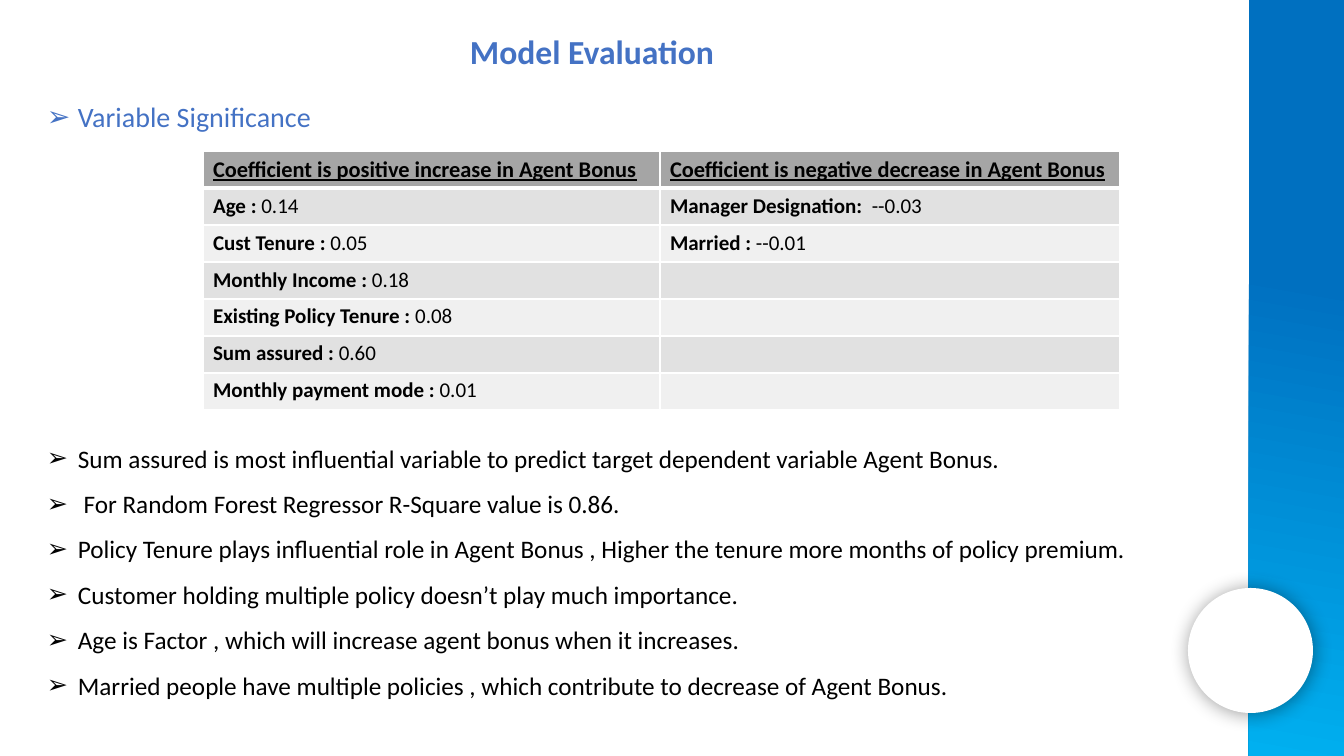
from lxml import etree
from pptx import Presentation
from pptx.dml.color import RGBColor
from pptx.enum.shapes import MSO_SHAPE
from pptx.enum.text import PP_ALIGN
from pptx.oxml.ns import qn
from pptx.util import Emu, Pt

RECT, OVAL = MSO_SHAPE.RECTANGLE, MSO_SHAPE.OVAL
LEFT, CENTER = PP_ALIGN.LEFT, PP_ALIGN.CENTER

TITLE = "Model Evaluation"
TOPIC = ["Variable Significance"]
HEADS = ["Coefficient is positive increase in Agent Bonus",
         "Coefficient is negative decrease in Agent Bonus"]
ROWS = [  # (label, value) for each column
    [("Age : ", "0.14"), ("Manager Designation:  ", "--0.03")],
    [("Cust Tenure : ", "0.05"), ("Married : ", "--0.01")],
    [("Monthly Income : ", "0.18"), None],
    [("Existing Policy Tenure : ", "0.08"), None],
    [("Sum assured : ", "0.60"), None],
    [("Monthly payment mode : ", "0.01"), None],
]
POINTS = [
    "Sum assured is most influential variable to predict target dependent variable Agent Bonus.",
    " For Random Forest Regressor R-Square value is 0.86.",
    "Policy Tenure plays influential role in Agent Bonus , Higher the tenure more months of policy premium.",
    "Customer holding multiple policy doesn’t play much importance.",
    "Age is Factor , which will increase agent bonus when it increases.",
    "Married people have multiple policies , which contribute to decrease of Agent Bonus.",
]


class Theme:
    font = "Calibri"
    white, black, blue = "FFFFFF", "000000", "4472C4"
    deep, sky = "0070C0", "00B0F0"
    head, bands = "A5A5A5", ("E1E1E1", "F0F0F0")
    title, topic, body, label, cell = 24, 20, 18, 16, 15


WIDE, HIGH = 1344, 756
BAND = 1249
INDENT = 31
TABLE = (203, 151)
COLS, ROW = (457, 460), 37


def px(n):
    return Emu(round(n * 914400 / 100.8))


def rgb(code):
    return RGBColor.from_string(code)


def add_run(para, text, size, color=Theme.black, bold=False, under=False):
    run = para.add_run()
    run.text = text
    font = run.font
    font.name, font.size, font.bold = Theme.font, Pt(size), bold
    font.underline = under
    font.color.rgb = rgb(color)


def add_shape(slide, kind, box):
    shape = slide.shapes.add_shape(kind, *map(px, box))
    shape.shadow.inherit = False
    shape.line.fill.background()
    return shape


def add_band(slide):
    fill = add_shape(slide, RECT, (BAND, 0, WIDE - BAND, HIGH)).fill
    fill.gradient()
    fill.gradient_angle = 260
    stops = ((0.37, Theme.deep), (1, Theme.sky))
    for stop, (place, color) in zip(fill.gradient_stops, stops):
        stop.position = place
        stop.color.rgb = rgb(color)


def add_disc(slide):
    disc = add_shape(slide, OVAL, (1188, 588, 125, 125))
    disc.fill.solid()
    disc.fill.fore_color.rgb = rgb(Theme.white)
    effect = disc._element.spPr.find(qn("a:effectLst"))
    shade = etree.SubElement(effect, qn("a:outerShdw"), blurRad=str(Pt(14)),
                             dist=str(Pt(1)), dir=str(43 * 60000), rotWithShape="0")
    tint = etree.SubElement(shade, qn("a:srgbClr"), val=Theme.black)
    etree.SubElement(tint, qn("a:alpha"), val="40000")


def set_bullet(para):
    props = para._p.get_or_add_pPr()
    props.set("marL", str(px(INDENT)))
    props.set("indent", str(-px(INDENT)))
    etree.SubElement(props, qn("a:buFont"), typeface="Arial")
    etree.SubElement(props, qn("a:buChar"), char="➢")


def add_text(slide, box, lines, size, color, align=LEFT, bold=False, bullet=True, space=1):
    frame = slide.shapes.add_textbox(*map(px, box)).text_frame
    frame.word_wrap = True
    for i, line in enumerate(lines):
        para = frame.add_paragraph() if i else frame.paragraphs[0]
        para.alignment = align
        para.line_spacing = space
        if bullet:
            set_bullet(para)
        add_run(para, line, size, color, bold)


def paint(cell, color, base):
    """Draw white borders, the bottom one `base` points wide, then fill the cell."""
    props = cell._tc.get_or_add_tcPr()
    for side, width in (("L", 1), ("R", 1), ("T", 1), ("B", base)):
        line = etree.SubElement(props, qn("a:ln" + side), w=str(Pt(width)))
        fill = etree.SubElement(line, qn("a:solidFill"))
        etree.SubElement(fill, qn("a:srgbClr"), val=Theme.white)
    cell.fill.solid()
    cell.fill.fore_color.rgb = rgb(color)


def add_grid(slide):
    count = len(ROWS) + 1
    box = (*TABLE, sum(COLS), ROW * count)
    table = slide.shapes.add_table(count, len(COLS), *map(px, box)).table
    for col, width in zip(table.columns, COLS):
        col.width = px(width)
    for c, text in enumerate(HEADS):
        cell = table.cell(0, c)
        paint(cell, Theme.head, 3)
        add_run(cell.text_frame.paragraphs[0], text, Theme.label, bold=True, under=True)
    for r, row in enumerate(ROWS):
        for c, pair in enumerate(row):
            cell = table.cell(r + 1, c)
            paint(cell, Theme.bands[r % 2], 1)
            if r == 0:
                cell._tc.tcPr.find(qn("a:lnT")).set("w", str(Pt(3)))
            para = cell.text_frame.paragraphs[0]
            if pair:
                add_run(para, pair[0], Theme.cell, bold=True)
                add_run(para, pair[1], Theme.cell)
            else:
                etree.SubElement(para._p, qn("a:endParaRPr"), sz=str(Theme.cell * 100))


def main():
    deck = Presentation()
    deck.slide_width, deck.slide_height = px(WIDE), px(HIGH)
    slide = deck.slides.add_slide(deck.slide_layouts[6])
    add_band(slide)
    add_disc(slide)
    add_text(slide, (63, 26, 1058, 50), [TITLE], Theme.title, Theme.blue,
             CENTER, bold=True, bullet=False)
    add_text(slide, (37, 95, 1189, 105), TOPIC, Theme.topic, Theme.blue)
    add_grid(slide)
    add_text(slide, (37, 423, 1121, 280), POINTS, Theme.body, Theme.black, space=1.5)
    deck.save("out.pptx")


if __name__ == "__main__":
    main()
